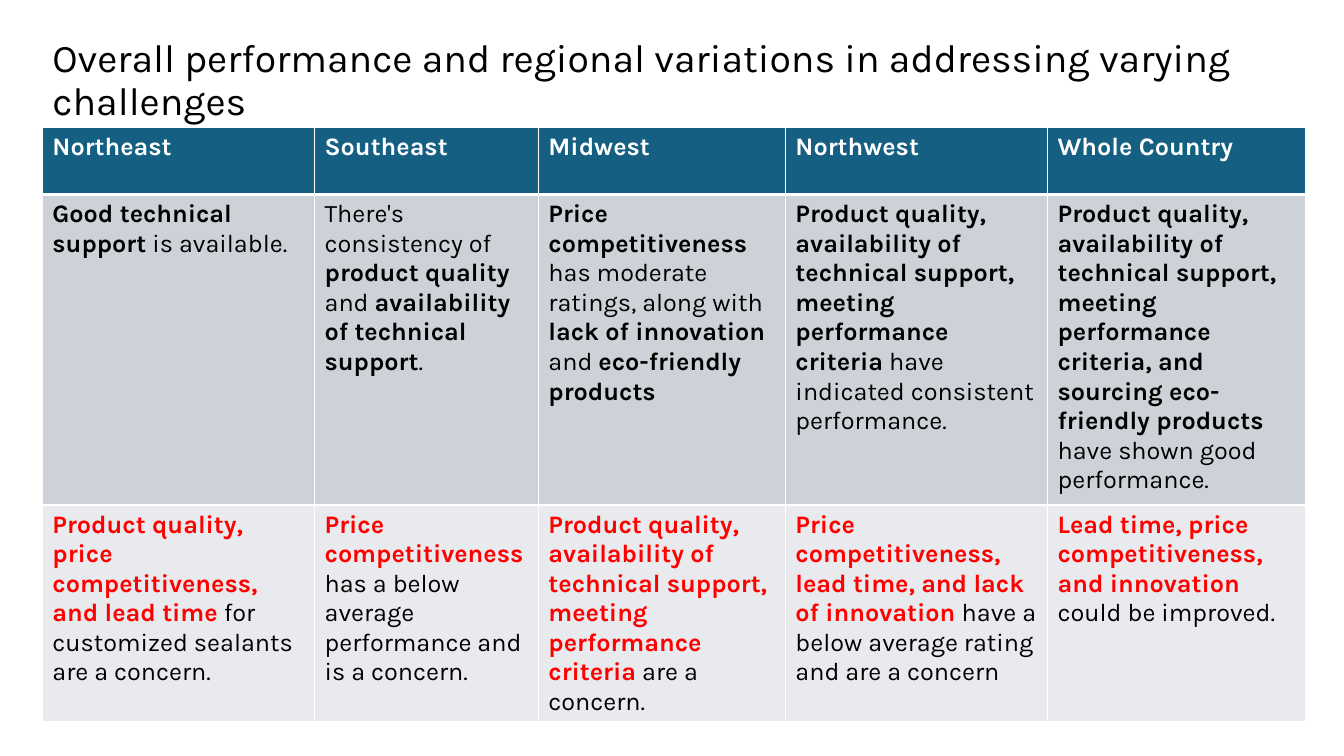
from pptx import Presentation
from pptx.dml.color import RGBColor
from pptx.enum.text import MSO_ANCHOR as Anchor, MSO_AUTO_SIZE as Fit, PP_ALIGN as Align
from pptx.oxml import parse_xml
from pptx.oxml.ns import nsdecls
from pptx.util import Emu, Pt


def px(n):
    return Emu(n * 9144)  # 100 px to the inch


def rgb(code):
    return RGBColor.from_string(code)


class Deck:
    font = "Karla"
    black, white, red = "000000", "FFFFFF", "FF0000"
    head, band, pale = "156082", "CCD2D8", "E8EAED"

    def __init__(self, wide, high):
        self.prs = Presentation()
        self.prs.slide_width, self.prs.slide_height = px(wide), px(high)
        self.slide = self.prs.slides.add_slide(self.prs.slide_layouts[5])

    def run(self, para, text, size, color, bold=False):
        run = para.add_run()
        run.text = text
        font = run.font
        font.name, font.size, font.bold = self.font, Pt(size), bold
        font.color.rgb = rgb(color)

    def title(self, text, left, top, wide, high):
        shape = self.slide.shapes.title
        shape.left, shape.top = px(left), px(top)
        shape.width, shape.height = px(wide), px(high)
        frame = shape.text_frame
        frame.word_wrap, frame.auto_size = True, Fit.NONE
        frame.vertical_anchor = Anchor.MIDDLE
        para = frame.paragraphs[0]
        para.alignment, para.line_spacing = Align.LEFT, 0.9
        self.run(para, text, 28, self.black)

    def edges(self, cell, **sides):
        props = cell._tc.get_or_add_tcPr()
        for spot, (side, points) in enumerate(sides.items()):
            props.insert(spot, parse_xml(
                f'<a:ln{side} {nsdecls("a")} w="{Pt(points)}"><a:solidFill>'
                f'<a:srgbClr val="{self.white}"/></a:solidFill></a:ln{side}>'))

    def cell(self, cell, text, fill, plain, strong, top, base):
        cell.fill.solid()
        cell.fill.fore_color.rgb = rgb(fill)
        para = cell.text_frame.paragraphs[0]
        # Text between asterisks is bold
        for spot, part in enumerate(text.split("*")):
            if part:
                bold = spot % 2 == 1
                self.run(para, part, 18, strong if bold else plain, bold)
        self.edges(cell, L=1, R=1, T=top, B=base)

    def table(self, rows, left, top, cols, highs):
        table = self.slide.shapes.add_table(
            len(rows), len(cols), px(left), px(top),
            px(sum(cols)), px(sum(highs))).table
        for col, wide in zip(table.columns, cols):
            col.width = px(wide)
        looks = [(self.head, self.white, self.white, 1, 3),
                 (self.band, self.black, self.black, 3, 1),
                 (self.pale, self.black, self.red, 1, 1)]
        for r, (texts, look) in enumerate(zip(rows, looks)):
            table.rows[r].height = px(highs[r])
            for c, text in enumerate(texts):
                self.cell(table.cell(r, c), text, *look)


# Regions, strengths, concerns
regions = ["*Northeast*", "*Southeast*", "*Midwest*", "*Northwest*", "*Whole Country*"]
good = [
    "*Good technical support* is available.",
    "There's consistency of *product quality* and *availability of technical support*.",
    "*Price competitiveness* has moderate ratings, along with "
    "*lack of innovation* and *eco-friendly products*",
    "*Product quality, availability of technical support, meeting performance "
    "criteria* have indicated consistent performance.",
    "*Product quality, availability of technical support, meeting performance "
    "criteria, and sourcing eco-friendly products *have shown good performance.",
]
weak = [
    "*Product quality, price competitiveness, and lead time* "
    "for customized sealants are a concern.",
    "*Price competitiveness* has a below average performance and is a concern.",
    "*Product quality, availability of technical support, meeting performance "
    "criteria* are a concern.",
    "*Price competitiveness, lead time, and lack of innovation *"
    "have a below average rating and are a concern",
    "*Lead time, price competitiveness, and innovation* could be improved.",
]


def main():
    deck = Deck(1333, 750)
    deck.title("Overall performance and regional variations in addressing "
               "varying challenges", 42, 6, 1250, 149)
    deck.table([regions, good, weak], 42, 126,
               [270, 222, 245, 260, 256], [67, 308, 215])
    deck.prs.save("out.pptx")


if __name__ == "__main__":
    main()
